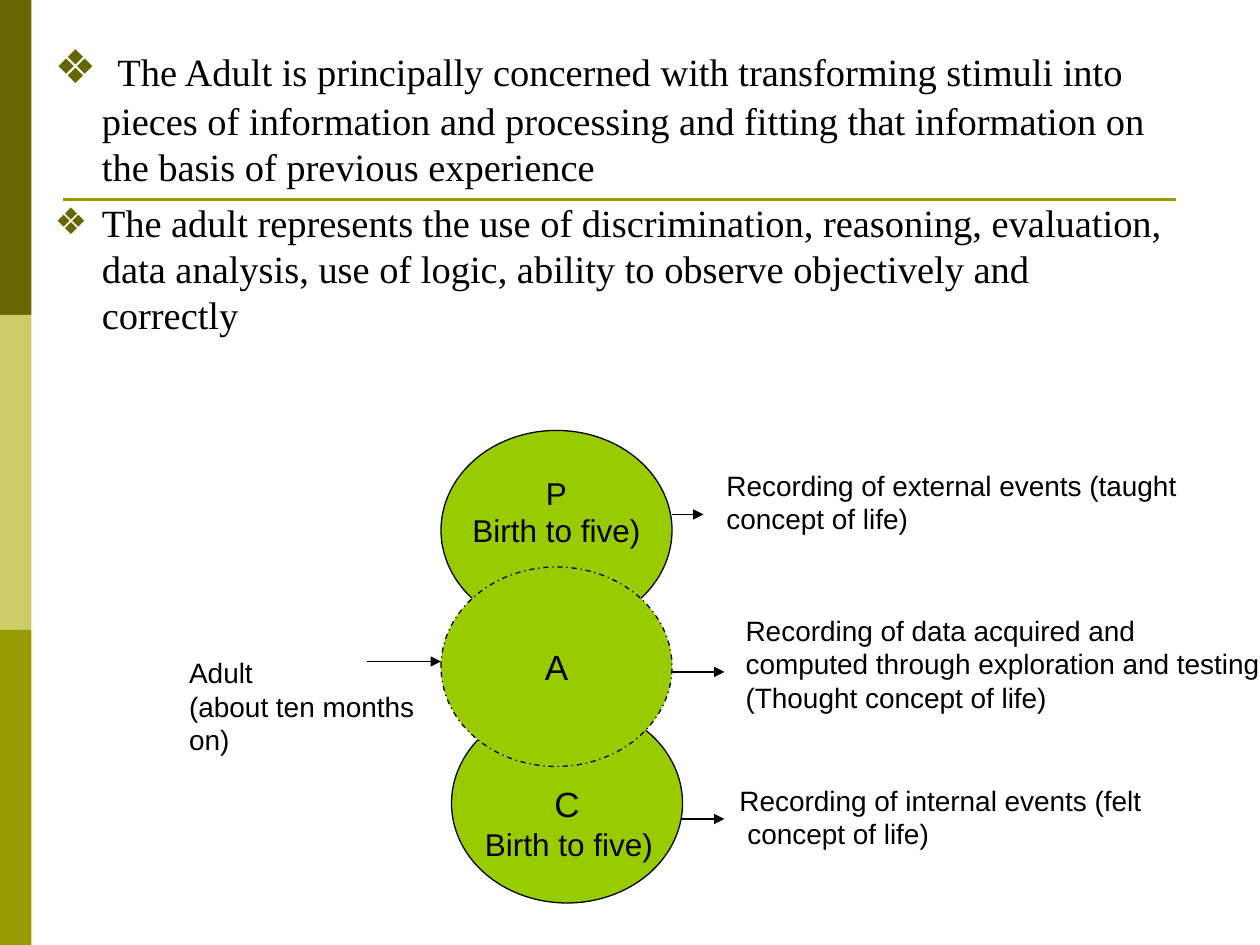
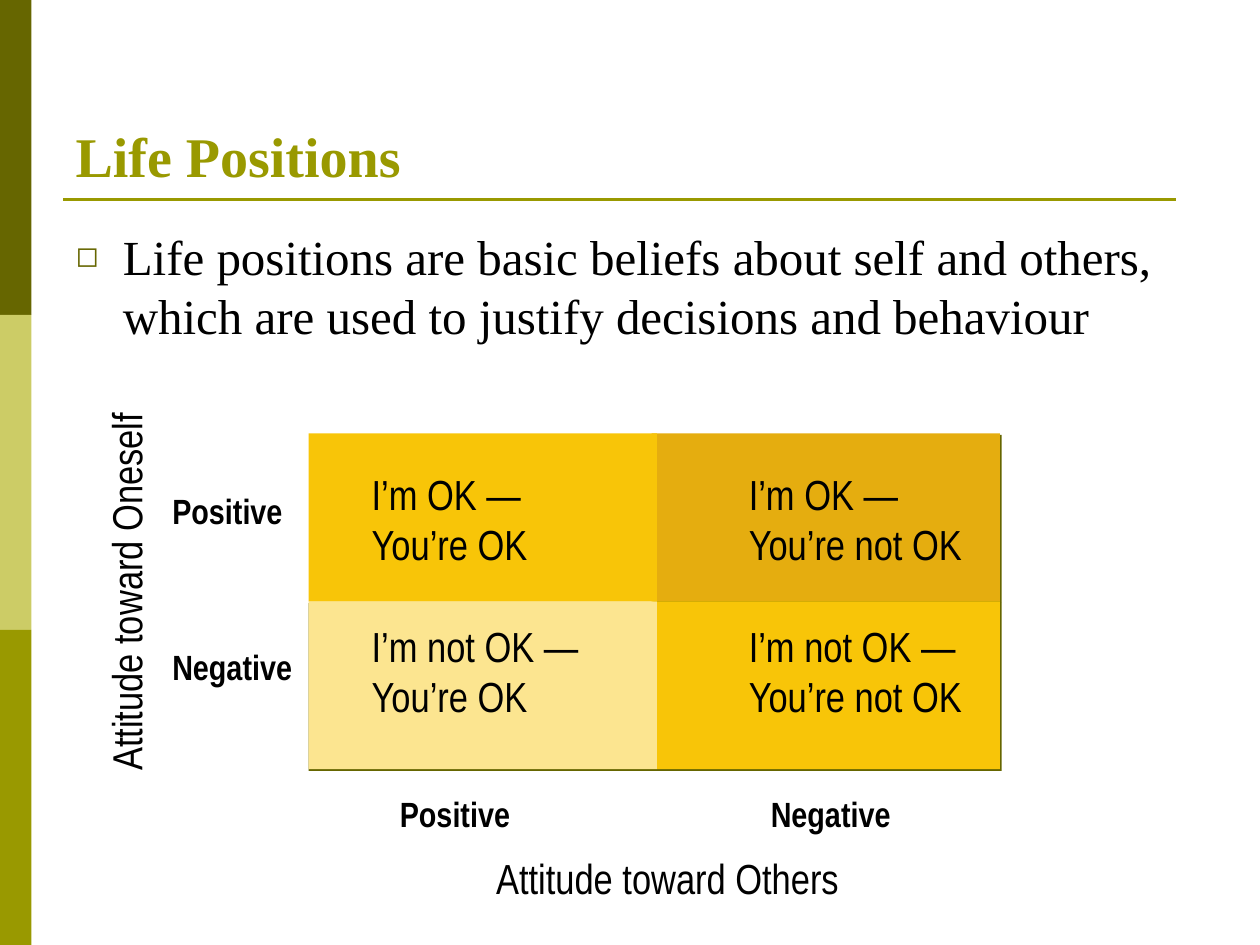
from lxml.etree import SubElement
from pptx import Presentation
from pptx.dml.color import RGBColor
from pptx.enum.dml import MSO_LINE
from pptx.enum.shapes import MSO_CONNECTOR, MSO_SHAPE
from pptx.enum.text import MSO_ANCHOR, MSO_AUTO_SIZE, PP_ALIGN
from pptx.oxml.ns import qn
from pptx.util import Pt

BLACK = RGBColor(0x00, 0x00, 0x00)
DARK_OLIVE = RGBColor(0x66, 0x66, 0x00)
PALE_OLIVE = RGBColor(0xCC, 0xCC, 0x66)
OLIVE = RGBColor(0x99, 0x99, 0x00)
GREEN = RGBColor(0x99, 0xCC, 0x00)
GOLD = RGBColor(0xF8, 0xC5, 0x08)
OCHRE = RGBColor(0xE5, 0xAD, 0x0F)
CREAM = RGBColor(0xFC, 0xE5, 0x90)

SERIF, SANS, NARROW, SYMBOL = "Times New Roman", "Arial", "Arial Narrow", "DejaVu Sans"
TITLE_FONT = {"name": SERIF, "size": Pt(32), "bold": True}
LABEL_FONT = {"name": SANS, "size": Pt(16)}
STATE_FONT = {"name": SANS, "size": Pt(18)}
LETTER_FONT = {"name": SANS, "size": Pt(20)}
AXIS_FONT = {"name": NARROW, "size": Pt(24)}
SIGN_FONT = {"name": NARROW, "size": Pt(20), "bold": True}
HANGING = Pt(27)


def points(*lengths):
    """Turn numbers into point lengths."""
    return [Pt(length) for length in lengths]


def apply_format(target, values):
    """Set each attribute of the target from a dict."""
    for attribute, value in values.items():
        setattr(target, attribute, value)


def add_run(paragraph, text, font, color=BLACK):
    """Add one formatted run."""
    run = paragraph.add_run()
    run.text = text
    apply_format(run.font, font)
    run.font.color.rgb = color


def write_lines(frame, lines, font, align=PP_ALIGN.LEFT):
    """Write each line as a paragraph of the frame."""
    for index, line in enumerate(lines):
        paragraph = frame.add_paragraph() if index else frame.paragraphs[0]
        paragraph.alignment = align
        add_run(paragraph, line, font)


def add_label(slide, box, lines, font, wrap=False):
    """Add a plain text box and return it."""
    label = slide.shapes.add_textbox(*points(*box))
    apply_format(label.text_frame, {"word_wrap": wrap, "margin_right": 0})
    write_lines(label.text_frame, lines, font)
    return label


def add_block(slide, preset, box, fill):
    """Add a filled preset shape without line or shadow."""
    block = slide.shapes.add_shape(preset, *points(*box))
    block.shadow.inherit = False
    block.fill.solid()
    block.fill.fore_color.rgb = fill
    block.line.fill.background()
    return block


def add_line(slide, ends, color, width, arrow=False):
    """Add a straight line, with an arrowhead if wanted."""
    line = slide.shapes.add_connector(MSO_CONNECTOR.STRAIGHT, *points(*ends))
    line.line.color.rgb = color
    line.line.width = Pt(width)
    if arrow:
        outline = line.element.xpath(".//a:ln")[0]
        SubElement(outline, qn("a:tailEnd"), type="triangle")
    SubElement(line.element.spPr, qn("a:effectLst"))
    return line


def build_master(prs, slide):
    """Draw the side bands and the title rule, then move them to the master."""
    band_height = 180
    parts = [add_block(slide, MSO_SHAPE.RECTANGLE, (0, row * band_height, 18, band_height), color)
             for row, color in enumerate((DARK_OLIVE, PALE_OLIVE, OLIVE))]
    parts.append(add_line(slide, (36, 114, 672, 114), OLIVE, 1.5))
    for index, part in enumerate(parts):
        part.element.xpath(".//p:cNvPr")[0].set("id", str(100 + index))
        prs.slide_master.shapes.element.insert(2 + index, part.element)


def place_placeholder(holder, box, anchor):
    """Move a placeholder and fix its frame."""
    apply_format(holder, dict(zip(("left", "top", "width", "height"), points(*box))))
    apply_format(holder.text_frame, {"auto_size": MSO_AUTO_SIZE.NONE, "vertical_anchor": anchor,
                                     "word_wrap": True})


def fill_title(slide, box, text):
    """Place and write the title."""
    place_placeholder(slide.shapes.title, box, MSO_ANCHOR.BOTTOM)
    paragraph = slide.shapes.title.text_frame.paragraphs[0]
    paragraph.alignment = PP_ALIGN.LEFT
    add_run(paragraph, text, TITLE_FONT, OLIVE)


def add_bullet(paragraph, mark, percent):
    """Give a paragraph a hanging olive bullet."""
    properties = paragraph._p.get_or_add_pPr()
    properties.set("marL", str(HANGING))
    properties.set("indent", str(-HANGING))
    color = SubElement(properties, qn("a:buClr"))
    SubElement(color, qn("a:srgbClr"), val=str(DARK_OLIVE))
    SubElement(properties, qn("a:buSzPct"), val=str(percent * 1000))
    SubElement(properties, qn("a:buFont"), typeface=SYMBOL)
    SubElement(properties, qn("a:buChar"), char=mark)


def fill_body(slide, box, items, mark, percent, gap):
    """Place the body and write its bulleted items, each a list of runs."""
    body = slide.placeholders[1]
    place_placeholder(body, box, MSO_ANCHOR.TOP)
    frame = body.text_frame
    for index, runs in enumerate(items):
        paragraph = frame.add_paragraph() if index else frame.paragraphs[0]
        add_bullet(paragraph, mark, percent)
        paragraph.space_before = Pt(gap if index else 0)
        for text, font in runs:
            add_run(paragraph, text, font)


def build_ego_states(slide, box):
    """Draw the overlapping ego states with their notes and arrows."""
    left, top, _, _ = box
    width, height, step = 132, 114, 78
    states = (
        (151, 0, ("P", "Birth to five)"), STATE_FONT, MSO_LINE.SOLID, 25),
        (157, 2 * step, ("C",), LETTER_FONT, MSO_LINE.SOLID, 3.6),
        (151, step, ("A",), LETTER_FONT, MSO_LINE.DASH_DOT, 3.6),
    )
    for x, y, lines, font, dash, bottom in states:
        state = add_block(slide, MSO_SHAPE.FLOWCHART_CONNECTOR,
                          (left + x, top + y, width, height), GREEN)
        state.line.color.rgb = BLACK
        apply_format(state.line, {"width": Pt(0.75), "dash_style": dash})
        apply_format(state.text_frame, {"word_wrap": False, "margin_bottom": Pt(bottom),
                                        "vertical_anchor": MSO_ANCHOR.MIDDLE})
        write_lines(state.text_frame, lines, font, PP_ALIGN.CENTER)

    for start, end, y in ((283, 301, 48), (283, 313, 138), (289, 313, 222), (109, 151, 132)):
        add_line(slide, (left + start, top + y, left + end, top + y), BLACK, 0.75, arrow=True)

    notes = (
        (307, 18, 312, 46, ("Recording of external events (taught concept of life)",), LABEL_FONT, True),
        (318, 101, 301, 65, ("Recording of data acquired and",
                             "computed through exploration and testing",
                             "(Thought concept of life)"), LABEL_FONT, False),
        (314.5, 198, 244, 46, ("Recording of internal events (felt", "concept of life)"),
         LABEL_FONT, False),
        (169, 222, 116, 29, ("Birth to five)",), STATE_FONT, False),
        (0, 125, 140, 65, ("Adult", "(about ten months on)"), LABEL_FONT, True),
    )
    for x, y, note_width, note_height, lines, font, wrap in notes:
        note = add_label(slide, (left + x, top + y, note_width, note_height), lines, font, wrap)
        if "felt" in lines[0]:
            note.text_frame.paragraphs[1]._p.get_or_add_pPr().set("marL", str(Pt(4.5)))


def add_cell_shadow(cell, distance, degrees):
    """Give a cell a thin, hard shadow."""
    effects = cell.element.spPr.find(qn("a:effectLst"))
    shadow = SubElement(effects, qn("a:outerShdw"), blurRad="0", dist=str(Pt(distance)),
                        dir=str(degrees * 60000), algn="ctr", rotWithShape="0")
    SubElement(shadow, qn("a:srgbClr"), val=str(DARK_OLIVE))


def build_positions_matrix(slide, box):
    """Draw the two-by-two matrix of life positions with its axis labels."""
    left, top, width, height = box
    row_height = height / 2
    column_x, cell_width = (0, 196), width - 196
    text_inset, text_drop = (36, 55.5), (20, 10.8)
    cells = (
        (0, 1, OCHRE, ("I’m OK —", "You’re not OK"), (1.4, 45)),
        (1, 1, GOLD, ("I’m not OK —", "You’re not OK"), (1.4, 45)),
        (1, 0, CREAM, ("I’m not OK —", "You’re OK"), (1, 90)),
        (0, 0, GOLD, ("I’m OK —", "You’re OK"), None),
    )
    for row, column, fill, lines, shadow in cells:
        cell = add_block(slide, MSO_SHAPE.RECTANGLE,
                         (left + column_x[column], top + row * row_height, cell_width, row_height), fill)
        apply_format(cell.text_frame, {"vertical_anchor": MSO_ANCHOR.TOP, "word_wrap": True,
                                       "margin_left": Pt(text_inset[column]),
                                       "margin_top": Pt(text_drop[row]), "margin_right": 0})
        write_lines(cell.text_frame, lines, AXIS_FONT)
        if shadow:
            add_cell_shadow(cell, *shadow)

    for sign, row_y, sign_x in (("Positive", 28.8, 45), ("Negative", 117.5, 257)):
        add_label(slide, (left - 85, top + row_y, 80, 32), (sign,), SIGN_FONT)
        add_label(slide, (left + sign_x, top + height + 9.5, 80, 32), (sign,), SIGN_FONT)

    add_label(slide, (left + 100, top + height + 44, 210, 36), ("Attitude toward Others",), AXIS_FONT)
    oneself = add_label(slide, (left - 214, top + 72.5, 219, 36), ("Attitude toward Oneself",), AXIS_FONT)
    oneself.rotation = 270


def build_adult_slide(slide):
    """Fill the slide on the Adult ego state."""
    title = slide.shapes.title.element
    title.getparent().remove(title)
    body_font = {"name": SERIF, "size": Pt(22)}
    items = (
        ((" ", {"name": SYMBOL, "size": Pt(28)}),
         ("The Adult is principally concerned with transforming stimuli into pieces of information "
          "and processing and fitting that information on the basis of previous experience", body_font)),
        (("The adult represents the use of discrimination, reasoning, evaluation, data analysis, "
          "use of logic, ability to observe objectively and correctly", body_font),),
    )
    fill_body(slide, (24, 18, 648, 356), items, "❖", 95, 5.5)
    build_ego_states(slide, (101, 246, 619, 270))


def build_positions_slide(slide):
    """Fill the slide on life positions."""
    fill_title(slide, (36, 21.6, 648, 90), "Life Positions")
    belief = ("Life positions are basic beliefs about self and others, "
              "which are used to justify decisions and behaviour")
    items = (((belief, {"name": SERIF, "size": Pt(28)}),),)
    fill_body(slide, (36, 126, 648, 356), items, "◻", 58, 7)
    build_positions_matrix(slide, (176.4, 247.6, 395, 192))


def main():
    """Build and save the presentation."""
    prs = Presentation()
    prs.slide_width, prs.slide_height = points(720, 540)
    adult, positions = (prs.slides.add_slide(prs.slide_layouts[1]) for _ in range(2))
    build_master(prs, adult)
    build_adult_slide(adult)
    build_positions_slide(positions)
    prs.save("out.pptx")


if __name__ == "__main__":
    main()
